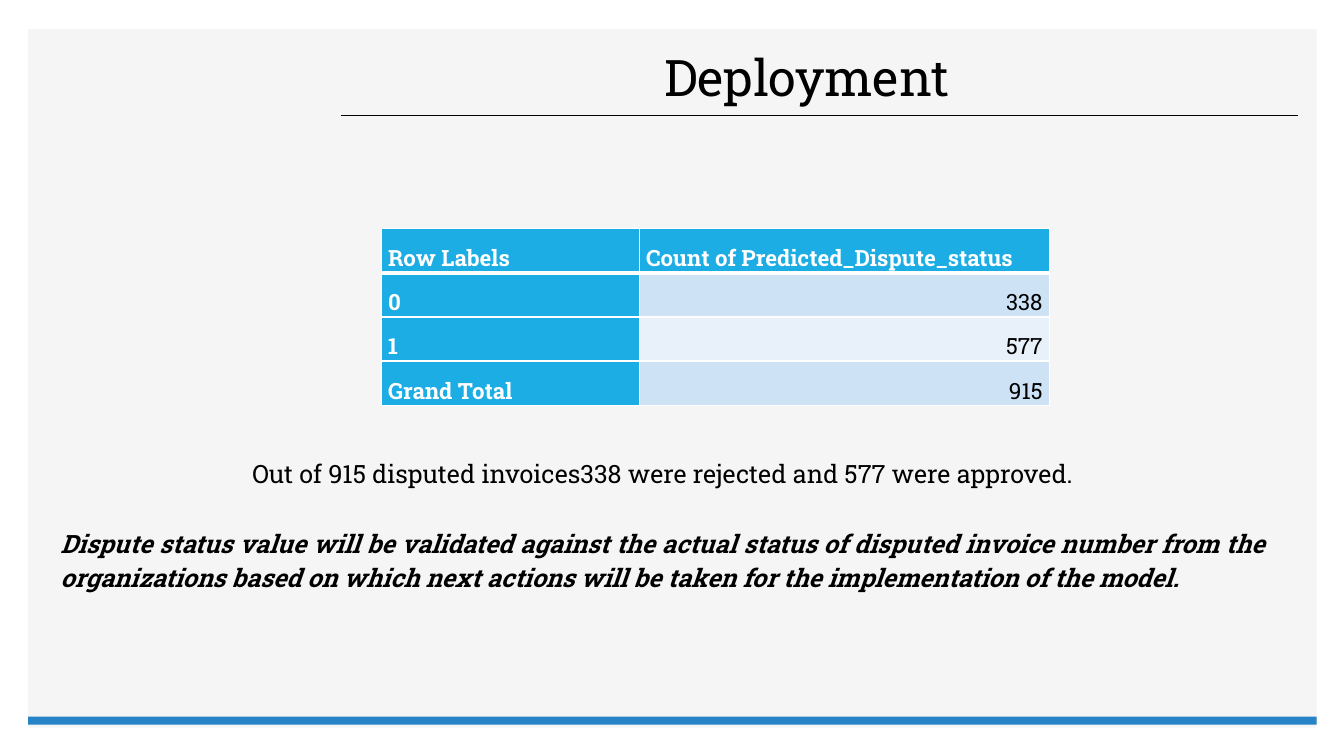
from dataclasses import dataclass

from lxml import etree
from pptx import Presentation
from pptx import util as u
from pptx.dml.color import RGBColor
from pptx.enum import shapes, text
from pptx.oxml.ns import qn


@dataclass(frozen=True)
class Theme:
    font: str = "Roboto Slab"
    ink: str = "000000"
    white: str = "FFFFFF"
    panel: str = "F5F5F5"
    footer: str = "2683C6"
    header: str = "1CADE4"
    bands: tuple = ("CDE3F5", "E8F1FA")
    title_size: int = 36
    body_size: int = 18
    table_size: int = 16


theme = Theme()
align = text.PP_ALIGN


def write(p, words, size=theme.body_size, color=theme.ink, bold=False,
          italic=False, alignment=align.LEFT, spacing=1.15, before=0):
    p.alignment = alignment
    p.line_spacing = spacing
    p.space_before = u.Pt(before)
    r = p.add_run()
    r.text = words
    r.font.name = theme.font
    r.font.size = u.Pt(size)
    r.font.color.rgb = RGBColor.from_string(color)
    r.font.bold = bold
    r.font.italic = italic


def set_borders(cell, bottom):
    tc_pr = cell._tc.get_or_add_tcPr()
    sides = {"a:lnL": 1, "a:lnR": 1, "a:lnT": 1, "a:lnB": bottom}
    for index, (tag, width) in enumerate(sides.items()):
        ln = etree.Element(qn(tag), w=str(u.Pt(width)))
        fill = etree.SubElement(ln, qn("a:solidFill"))
        etree.SubElement(fill, qn("a:srgbClr"), val=theme.white)
        tc_pr.insert(index, ln)


prs = Presentation()
prs.slide_width = u.Inches(13.33)
prs.slide_height = u.Inches(7.5)
s = prs.slides.add_slide(prs.slide_layouts[6])

for top, height, color in [(0.29, 6.93, theme.panel), (7.11, 0.08, theme.footer)]:
    sp = s.shapes.add_shape(shapes.MSO_SHAPE.RECTANGLE, u.Inches(0.28),
                            u.Inches(top), u.Inches(12.78), u.Inches(height))
    sp.shadow.inherit = False
    sp.fill.solid()
    sp.fill.fore_color.rgb = RGBColor.from_string(color)
    sp.line.fill.background()

rule = s.shapes.add_connector(shapes.MSO_CONNECTOR.STRAIGHT, u.Inches(3.38),
                              u.Inches(1.15), u.Inches(12.87), u.Inches(1.15))
rule.line.color.rgb = RGBColor.from_string(theme.ink)
rule.line.width = u.Pt(0.75)
etree.SubElement(rule._element.spPr, qn("a:effectLst"))

title = s.shapes.add_textbox(u.Inches(3.48), u.Inches(0.43), u.Inches(9.17), u.Inches(0.73))
tf = title.text_frame
tf.word_wrap = True
tf.vertical_anchor = text.MSO_ANCHOR.MIDDLE
write(tf.paragraphs[0], "Deployment ", size=theme.title_size,
      alignment=align.CENTER, spacing=0.9)

rows = [
    ("Row Labels", "Count of Predicted_Dispute_status"),
    ("0", "338"),
    ("1", "577"),
    ("Grand Total", "915"),
]
table = s.shapes.add_table(len(rows), 2, u.Inches(3.78), u.Inches(2.27),
                           u.Inches(6.63), u.Inches(1.75)).table
table.columns[0].width = u.Inches(2.56)
table.columns[1].width = u.Inches(4.07)

for i, row in enumerate(rows):
    for j, words in enumerate(row):
        cell = table.cell(i, j)
        label = i == 0 or j == 0
        cell.fill.solid()
        cell.fill.fore_color.rgb = RGBColor.from_string(
            theme.header if label else theme.bands[(i - 1) % 2])
        cell.margin_left = cell.margin_right = u.Inches(0.07)
        cell.margin_top = cell.margin_bottom = 0
        cell.margin_bottom = u.Inches(0.03)
        cell.vertical_anchor = text.MSO_ANCHOR.BOTTOM
        write(cell.text_frame.paragraphs[0], words, size=theme.table_size,
              color=theme.white if label else theme.ink, bold=label,
              alignment=align.LEFT if label else align.RIGHT, spacing=1.5)
        set_borders(cell, bottom=3 if i == 0 else 1)

summary = s.shapes.add_textbox(u.Inches(0.5), u.Inches(4.45), u.Inches(12.15), u.Inches(1.49))
tf = summary.text_frame
tf.word_wrap = True
write(tf.paragraphs[0],
      "Out of 915 disputed invoices338 were rejected and 577 were approved.",
      alignment=align.CENTER)
write(tf.add_paragraph(),
      "Dispute status value will be validated against the actual status of "
      "disputed invoice number from the organizations based on which next "
      "actions will be taken for the implementation of the model.",
      bold=True, italic=True, alignment=align.JUSTIFY, before=25)

prs.save("out.pptx")
